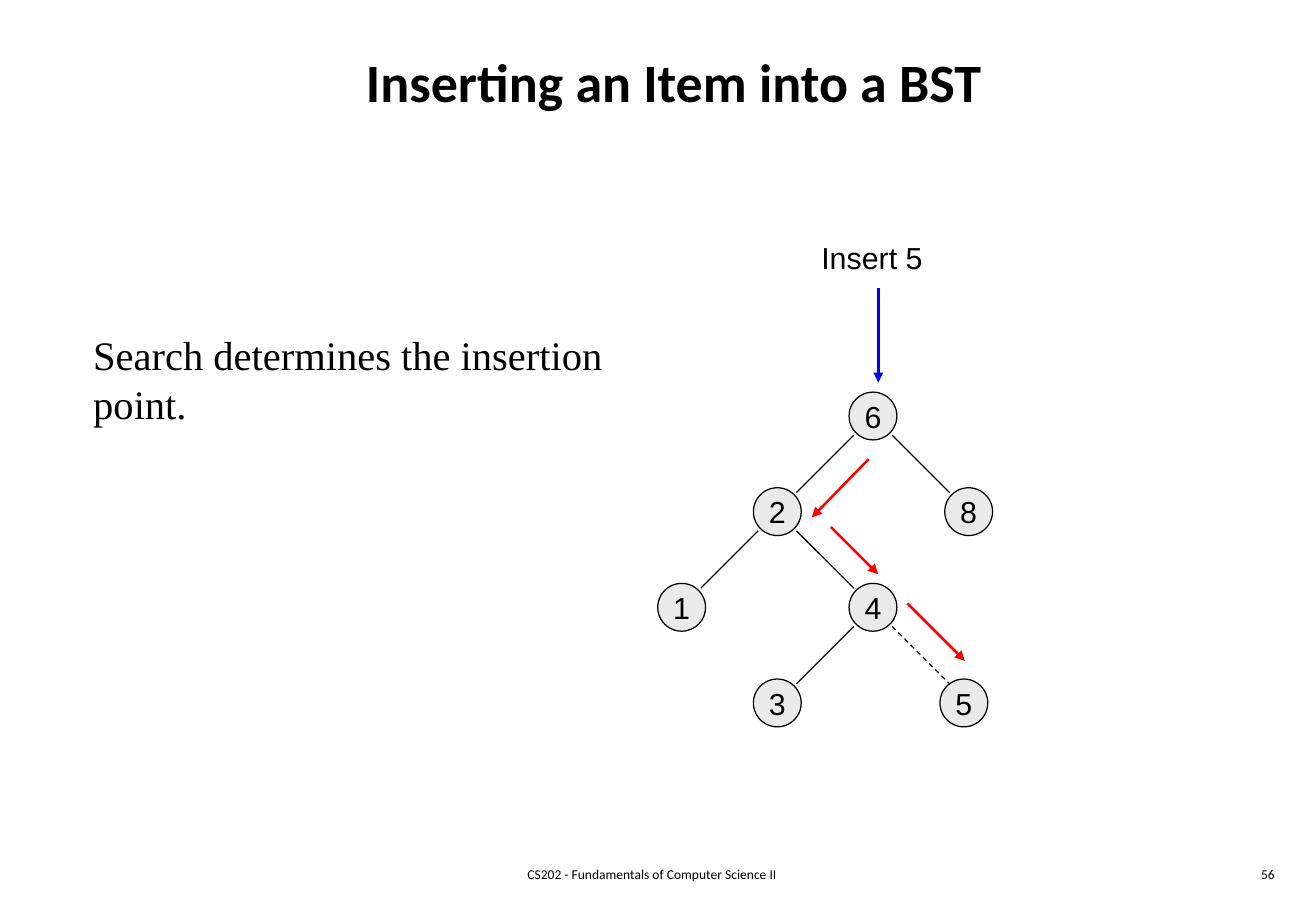
from lxml.etree import SubElement
from pptx import Presentation
from pptx.dml.color import RGBColor
from pptx.enum.dml import MSO_LINE
from pptx.enum.shapes import MSO_CONNECTOR, MSO_SHAPE
from pptx.enum.text import MSO_ANCHOR as Anchor, PP_ALIGN as Align
from pptx.oxml.ns import qn
from pptx.util import Cm, Pt

BLACK = RGBColor(0x00, 0x00, 0x00)
GREY = RGBColor(0xEA, 0xEA, 0xEA)
BLUE = RGBColor(0x00, 0x00, 0xFF)
RED = RGBColor(0xFF, 0x00, 0x00)

# Tree geometry in cm: root centre, grid step, node size
ROOT_X, ROOT_Y, STEP, NODE = 18.25, 8.7, 2, 1
EDGE_GAP, EDGE_RUN = 0.4, 1.2


class TreeSlide:
    label = {"name": "Arial", "size": Pt(18)}
    small = {"name": "Calibri", "size": Pt(8)}
    heading = {"name": "Calibri", "size": Pt(32), "bold": True}
    body = {"name": "Times New Roman", "size": Pt(24)}

    def __init__(self, prs):
        self.s = prs.slides.add_slide(prs.slide_layouts[5])

    def set_text(self, sp, text, font, align=Align.LEFT, anchor=Anchor.TOP, wrap=True):
        tf = sp.text_frame
        frame = {"word_wrap": wrap, "vertical_anchor": anchor}
        for key, value in frame.items():
            setattr(tf, key, value)
        p = tf.paragraphs[0]
        p.alignment = align
        r = p.add_run()
        r.text = text
        for key, value in font.items():
            setattr(r.font, key, value)
        r.font.color.rgb = BLACK

    def title(self, text, *box):
        sp = self.s.shapes.title
        for key, value in zip(("left", "top", "width", "height"), box):
            setattr(sp, key, Cm(value))
        self.set_text(sp, text, self.heading, Align.CENTER, Anchor.MIDDLE)

    def text(self, text, box, font, **style):
        sp = self.s.shapes.add_textbox(*map(Cm, box))
        self.set_text(sp, text, font, **style)

    def node(self, text, x, y):
        box = (x - NODE / 2, y - NODE / 2, NODE, NODE)
        sp = self.s.shapes.add_shape(MSO_SHAPE.OVAL, *map(Cm, box))
        sp.shadow.inherit = False
        sp.fill.solid()
        sp.fill.fore_color.rgb = GREY
        sp.line.color.rgb = BLACK
        sp.line.width = Pt(0.75)
        self.set_text(sp, text, self.label, Align.CENTER, Anchor.MIDDLE, wrap=False)

    def line(self, points, color=BLACK, width=0.75, dash=None):
        ln = self.s.shapes.add_connector(MSO_CONNECTOR.STRAIGHT, *map(Cm, points))
        ln.line.color.rgb = color
        ln.line.width = Pt(width)
        if dash:
            ln.line.dash_style = dash
        SubElement(ln._element.spPr, qn("a:effectLst"))
        return ln

    def arrow(self, points, color):
        ln = self.line(points, color, 1.5)
        SubElement(ln._element.spPr.find(qn("a:ln")), qn("a:tailEnd"), type="triangle")

    def edge(self, parent, side, dash=None):
        x, y = parent[0] + side * EDGE_GAP, parent[1] + EDGE_GAP
        self.line((x, y, x + side * EDGE_RUN, y + EDGE_RUN), dash=dash)


def main():
    prs = Presentation()
    prs.slide_width, prs.slide_height = Cm(27.51), Cm(19.05)
    slide = TreeSlide(prs)

    # Title, statement and footer
    slide.title("Inserting an Item into a BST", 1.07, 0.43, 26.04, 2.54)
    slide.text("Search determines the insertion point.",
               (1.7, 6.78, 12.7, 2.2), slide.body)
    slide.text("CS202 - Fundamentals of Computer Science II",
               (8.48, 17.98, 10.31, 0.64), slide.small, align=Align.CENTER)
    slide.text("56", (21.16, 17.98, 5.74, 0.64), slide.small, align=Align.RIGHT)

    # Tree nodes: column and row relative to the root
    grid = {"6": (0, 0), "2": (-1, 1), "8": (1, 1), "1": (-2, 2),
            "4": (0, 2), "3": (-1, 3), "5": (0.95, 3)}
    centres = {key: (ROOT_X + col * STEP, ROOT_Y + row * STEP)
               for key, (col, row) in grid.items()}
    for key, centre in centres.items():
        slide.node(key, *centre)

    # Edges: -1 to the left child, 1 to the right child
    for parent, side in (("6", -1), ("6", 1), ("2", -1), ("2", 1), ("4", -1)):
        slide.edge(centres[parent], side)
    slide.edge(centres["4"], 1, MSO_LINE.DASH)

    # Search path
    slide.text("Insert 5", (16.92, 4.88, 2.62, 1.02), slide.label, wrap=False)
    slide.arrow((18.36, 6.02, 18.36, 8), BLUE)
    for points in ((18.16, 9.6, 16.97, 10.82), (17.37, 11.02, 18.36, 12.01),
                   (18.97, 12.62, 20.17, 13.82)):
        slide.arrow(points, RED)

    prs.save("out.pptx")


if __name__ == "__main__":
    main()
